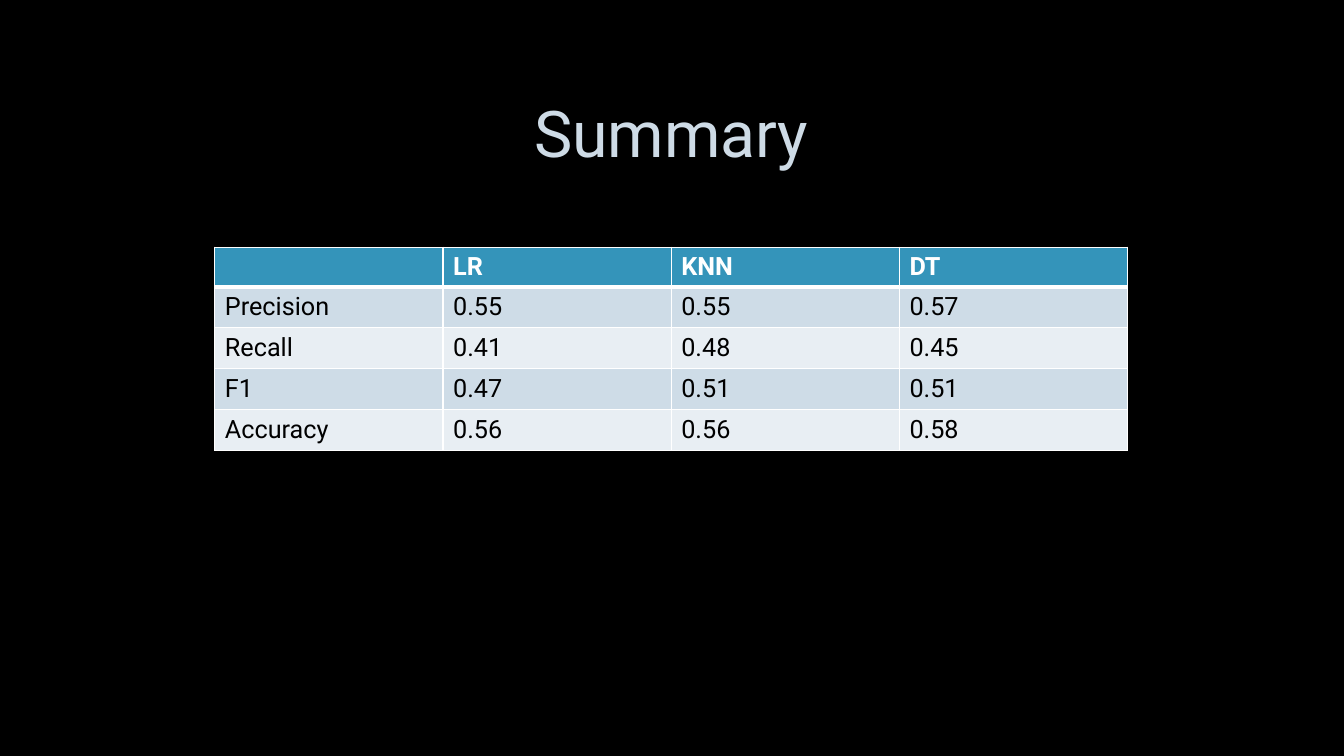
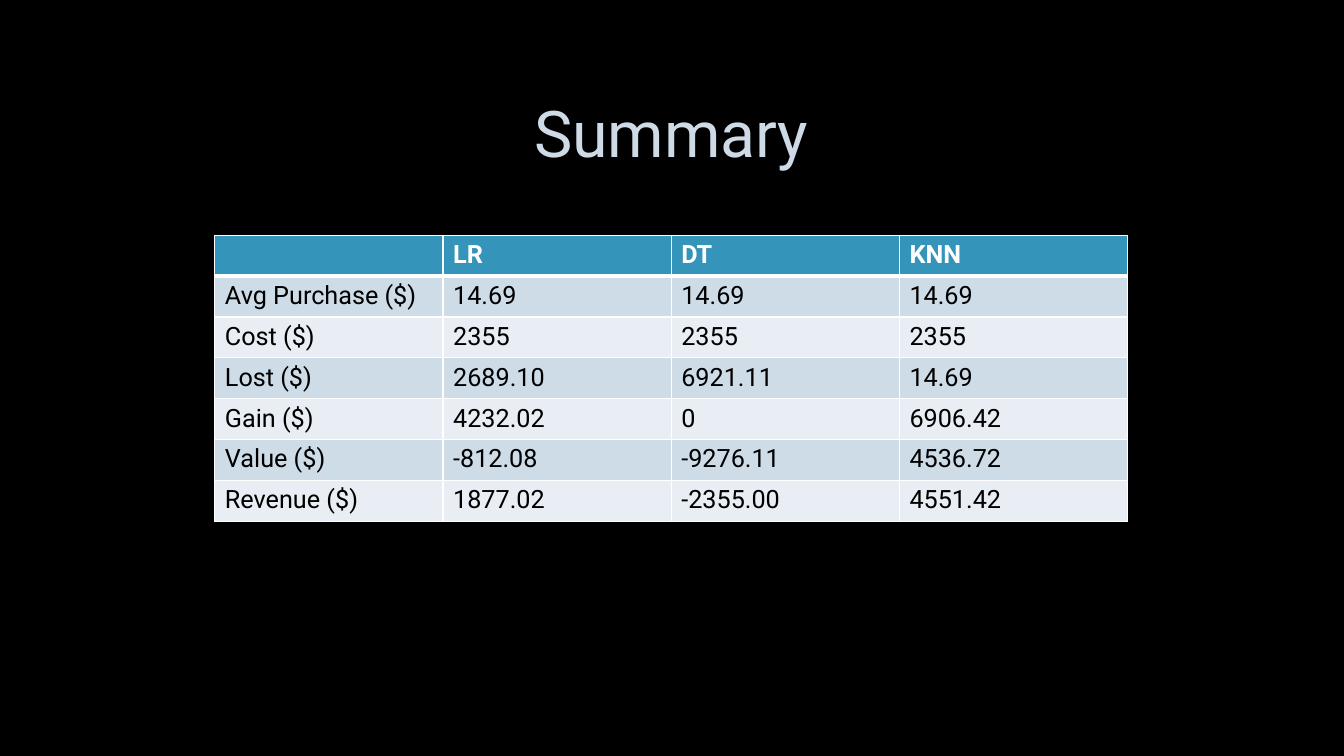
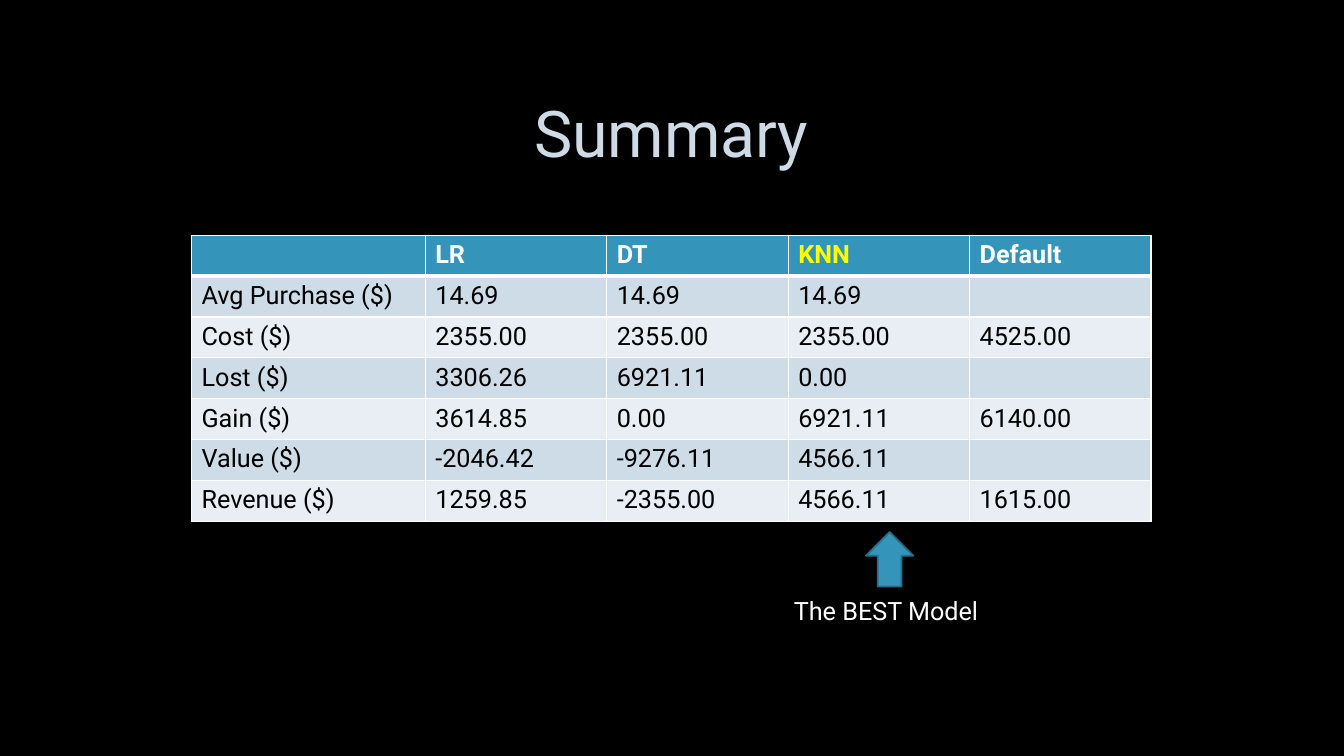
from lxml import etree
from pptx import Presentation
from pptx.dml.color import RGBColor
from pptx.enum import shapes, text
from pptx.oxml import ns
from pptx.util import Pt

FONT = "Roboto"
BLACK, WHITE, YELLOW = "000000", "FFFFFF", "FFFF00"
BLUE, NAVY, PALE = "3494BA", "266D8A", "CEDBE6"
BANDS = ["CEDCE7", "E8EEF3"]
MID = 479.5
ROW = 29.2
MONEY = ["Avg Purchase ($)", "Cost ($)", "Lost ($)", "Gain ($)", "Value ($)", "Revenue ($)"]


def tint(color, code):
    color.rgb = RGBColor.from_string(code)


def paint(fill, code):
    fill.solid()
    tint(fill.fore_color, code)


def style(para, size, code, bold=False):
    font = para.font
    font.name, font.size, font.bold = FONT, Pt(size), bold
    tint(font.color, code)


def edge(cell, side, width):
    """Draw a white border on one side (L, R, T or B) of a cell."""
    line = etree.SubElement(cell._tc.get_or_add_tcPr(), ns.qn("a:ln" + side), w=str(Pt(width)))
    fill = etree.SubElement(line, ns.qn("a:solidFill"))
    etree.SubElement(fill, ns.qn("a:srgbClr"), val=WHITE)


def add_slide(prs, title):
    slide = prs.slides.add_slide(prs.slide_layouts.get_by_name("Title Only"))
    box = slide.shapes.title
    box.left, box.top, box.width, box.height = Pt(72), Pt(48), Pt(815), Pt(99.5)
    box.text_frame.text = title
    box.text_frame.vertical_anchor = text.MSO_ANCHOR.MIDDLE
    para = box.text_frame.paragraphs[0]
    para.alignment = text.PP_ALIGN.CENTER
    para.line_spacing = 0.9
    style(para, 46, PALE)
    return slide


def add_grid(slide, rows, top, widths, head=ROW, best=None):
    """Add a centred table; best names the header to highlight."""
    wide = sum(widths)
    high = head + ROW * (len(rows) - 1)
    grid = slide.shapes.add_table(len(rows), len(widths), Pt(MID - wide / 2), Pt(top),
                                  Pt(wide), Pt(high)).table
    grid.horz_banding = False
    for col, width in zip(grid.columns, widths):
        col.width = Pt(width)
    for r, row in enumerate(rows):
        grid.rows[r].height = Pt(ROW if r else head)
        for c, value in enumerate(row):
            cell = grid.cell(r, c)
            cell.text = value
            for side in "LRTB":
                thick = (r, side) in [(0, "B"), (1, "T")]
                edge(cell, side, 3 if thick else 1)
            paint(cell.fill, BANDS[(r - 1) % 2] if r else BLUE)
            code = BLACK if r else YELLOW if value and value == best else WHITE
            style(cell.text_frame.paragraphs[0], 18, code, bold=r == 0)


def add_label(slide, words, left, top, width, height):
    frame = slide.shapes.add_textbox(Pt(left), Pt(top), Pt(width), Pt(height)).text_frame
    frame.word_wrap = False
    frame.text = words
    style(frame.paragraphs[0], 18, WHITE)


def add_arrow(slide, left, top, width, height):
    arrow = slide.shapes.add_shape(shapes.MSO_SHAPE.UP_ARROW, Pt(left), Pt(top),
                                   Pt(width), Pt(height))
    arrow.shadow.inherit = False
    paint(arrow.fill, BLUE)
    tint(arrow.line.color, NAVY)
    arrow.line.width = Pt(1.25)


def with_names(head, names, values):
    """Put the row names before the values, under the header."""
    return [["", *head]] + [[name, *row] for name, row in zip(names, values)]


def main():
    prs = Presentation()
    prs.slide_width, prs.slide_height = Pt(960), Pt(540)
    paint(prs.slide_master.background.fill, BLACK)

    scores = with_names(["LR", "KNN", "DT"], ["Precision", "Recall", "F1", "Accuracy"], [
        ["0.55", "0.55", "0.57"],
        ["0.41", "0.48", "0.45"],
        ["0.47", "0.51", "0.51"],
        ["0.56", "0.56", "0.58"],
    ])
    add_grid(add_slide(prs, "Summary"), scores, 176.5, [163] * 4, head=28.5)

    costs = with_names(["LR", "DT", "KNN"], MONEY, [
        ["14.69", "14.69", "14.69"],
        ["2355", "2355", "2355"],
        ["2689.10", "6921.11", "14.69"],
        ["4232.02", "0", "6906.42"],
        ["-812.08", "-9276.11", "4536.72"],
        ["1877.02", "-2355.00", "4551.42"],
    ])
    add_grid(add_slide(prs, "Summary"), costs, 168, [163] * 4)

    final = with_names(["LR", "DT", "KNN", "Default"], MONEY, [
        ["14.69", "14.69", "14.69", ""],
        ["2355.00", "2355.00", "2355.00", "4525.00"],
        ["3306.26", "6921.11", "0.00", ""],
        ["3614.85", "0.00", "6921.11", "6140.00"],
        ["-2046.42", "-9276.11", "4566.11", ""],
        ["1259.85", "-2355.00", "4566.11", "1615.00"],
    ])
    slide = add_slide(prs, "Summary")
    add_grid(slide, final, 168, [167] + [129.6] * 4, best="KNN")
    add_label(slide, "The BEST Model", 560, 422, 150, 29)
    add_arrow(slide, 618.5, 380, 34, 39)

    prs.save("out.pptx")


if __name__ == "__main__":
    main()
